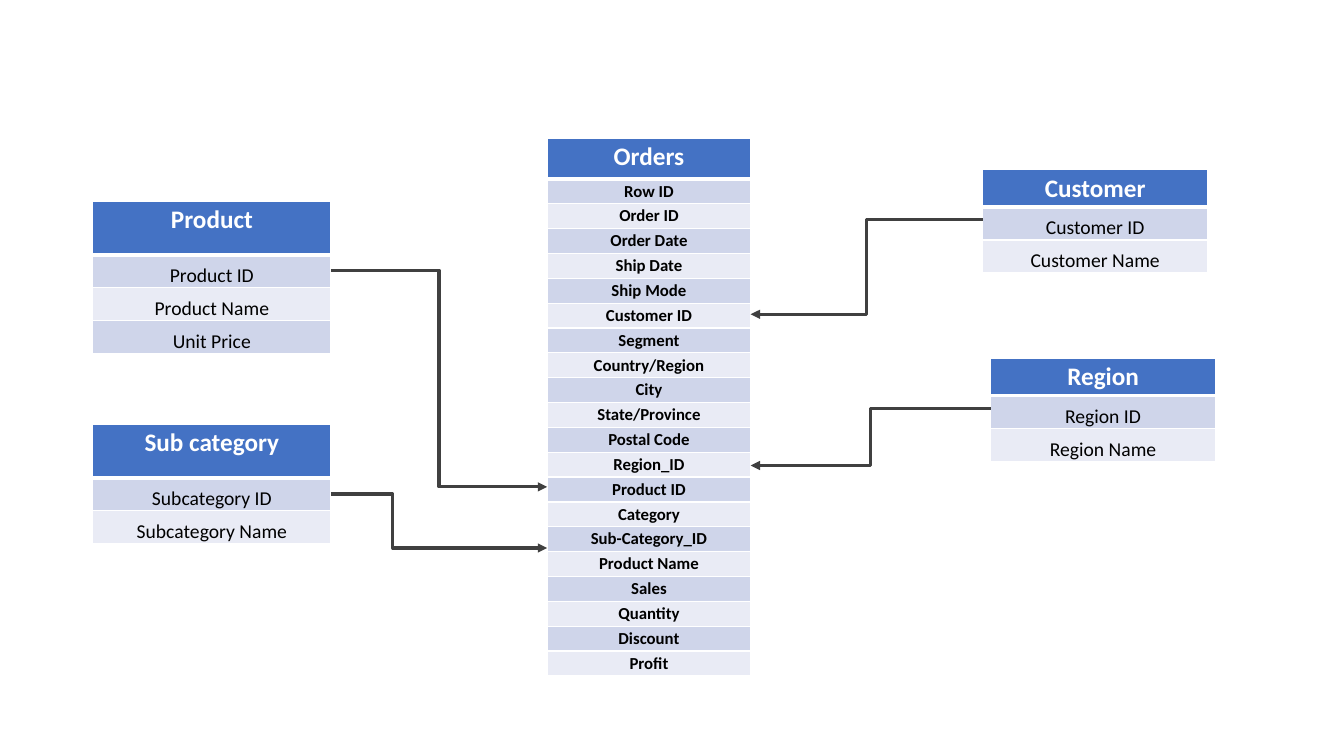
from dataclasses import dataclass

from lxml.etree import SubElement
from pptx import Presentation
from pptx.dml.color import RGBColor
from pptx.enum.shapes import MSO_CONNECTOR as Connector
from pptx.enum.text import MSO_ANCHOR as Anchor, PP_ALIGN as Align
from pptx.oxml.ns import qn
from pptx.slide import Slide
from pptx.table import _Cell as Cell
from pptx.util import Cm, Pt

WHITE, BLACK, HEADER_BLUE, LINK_GREY = "FFFFFF", "000000", "4472C4", "404040"
BANDS = ("CFD5EA", "E9EBF5")


@dataclass(frozen=True)
class FieldStyle:
    size: float
    bold: bool
    anchor: Anchor
    margins: tuple[float, float, float, float]  # left, top, right, bottom in cm


HEADER_STYLE = FieldStyle(18, True, Anchor.TOP, (0.25, 0.08, 0.25, 0.08))
FACT_STYLE = FieldStyle(12, True, Anchor.MIDDLE, (0, 0, 0, 0))
LOOKUP_STYLE = FieldStyle(14, False, Anchor.BOTTOM, (0.02, 0.02, 0.02, 0))


@dataclass(frozen=True)
class Entity:
    """A database table; lengths in cm."""
    name: str
    fields: tuple[str, ...]
    left: float
    top: float
    width: float
    header_height: float
    field_height: float = 0.83
    style: FieldStyle = LOOKUP_STYLE

    @property
    def right(self) -> float:
        return self.left + self.width


@dataclass(frozen=True)
class Link:
    """An elbow arrow from a lookup entity to the orders; lengths in cm."""
    source: Entity
    start_y: float
    end_y: float
    bend: float = 0.5


orders = Entity(
    "Orders",
    ("Row ID", "Order ID", "Order Date", "Ship Date", "Ship Mode", "Customer ID",
     "Segment", "Country/Region", "City", "State/Province", "Postal Code",
     "Region_ID", "Product ID", "Category", "Sub-Category_ID", "Product Name",
     "Sales", "Quantity", "Discount", "Profit"),
    13.79, 3.49, 5.13, 1.02, 12.52 / 20, FACT_STYLE)
product = Entity("Product", ("Product ID", "Product Name", "Unit Price"),
                 2.34, 5.08, 6, 1.34)
sub_category = Entity("Sub category", ("Subcategory ID", "Subcategory Name"),
                      2.34, 10.7, 6, 1.34)
customer = Entity("Customer", ("Customer ID", "Customer Name"),
                  24.77, 4.28, 5.66, 0.89)
region = Entity("Region", ("Region ID", "Region Name"),
                24.97, 9.03, 5.66, 0.89)

ENTITIES = (orders, product, sub_category, customer, region)
LINKS = (
    Link(product, 6.81, 12.27),
    Link(sub_category, 12.45, 13.81, 0.286),
    Link(customer, 5.54, 7.92),
    Link(region, 10.29, 11.73),
)


def colour(code: str) -> RGBColor:
    return RGBColor.from_string(code)


def add_borders(cell: Cell, bottom_width: float) -> None:
    properties = cell._tc.get_or_add_tcPr()
    for side, width in (("L", 1), ("R", 1), ("T", 1), ("B", bottom_width)):
        border = SubElement(properties, qn(f"a:ln{side}"), w=str(Pt(width)))
        fill = SubElement(border, qn("a:solidFill"))
        SubElement(fill, qn("a:srgbClr"), val=WHITE)


def fill_cell(cell: Cell, wording: str, style: FieldStyle, background: str,
              ink: str, bottom_width: float = 1) -> None:
    add_borders(cell, bottom_width)
    cell.fill.solid()
    cell.fill.fore_color.rgb = colour(background)
    (cell.margin_left, cell.margin_top,
     cell.margin_right, cell.margin_bottom) = map(Cm, style.margins)
    cell.vertical_anchor = style.anchor
    paragraph = cell.text_frame.paragraphs[0]
    paragraph.alignment = Align.CENTER
    run = paragraph.add_run()
    run.text = wording
    run.font.name = "Calibri"
    run.font.size = Pt(style.size)
    run.font.bold = style.bold
    run.font.color.rgb = colour(ink)


def add_entity(slide: Slide, entity: Entity) -> None:
    heights = [entity.header_height] + [entity.field_height] * len(entity.fields)
    grid = slide.shapes.add_table(
        len(heights), 1, Cm(entity.left), Cm(entity.top),
        Cm(entity.width), Cm(sum(heights))).table
    for row, height in zip(grid.rows, heights):
        row.height = Cm(height)
    fill_cell(grid.cell(0, 0), entity.name, HEADER_STYLE, HEADER_BLUE, WHITE, 3)
    for index, field in enumerate(entity.fields):
        fill_cell(grid.cell(index + 1, 0), field, entity.style,
                  BANDS[index % 2], BLACK)


def add_link(slide: Slide, link: Link) -> None:
    if link.source.left < orders.left:
        start_x, end_x = link.source.right, orders.left
    else:
        start_x, end_x = link.source.left, orders.right
    arrow = slide.shapes.add_connector(
        Connector.ELBOW, Cm(start_x), Cm(link.start_y), Cm(end_x), Cm(link.end_y))
    arrow.line.color.rgb = colour(LINK_GREY)
    arrow.line.width = Pt(2.25)
    properties = arrow._element.spPr
    SubElement(properties.find(qn("a:ln")), qn("a:tailEnd"), type="triangle")
    SubElement(properties, qn("a:effectLst"))
    adjustments = properties.find(qn("a:prstGeom")).find(qn("a:avLst"))
    SubElement(adjustments, qn("a:gd"), name="adj1",
               fmla=f"val {round(link.bend * 100000)}")


def main() -> None:
    deck = Presentation()
    deck.slide_width, deck.slide_height = Cm(33.87), Cm(19.05)
    slide = deck.slides.add_slide(deck.slide_layouts[6])
    for entity in ENTITIES:
        add_entity(slide, entity)
    for link in LINKS:
        add_link(slide, link)
    deck.save("out.pptx")


if __name__ == "__main__":
    main()
